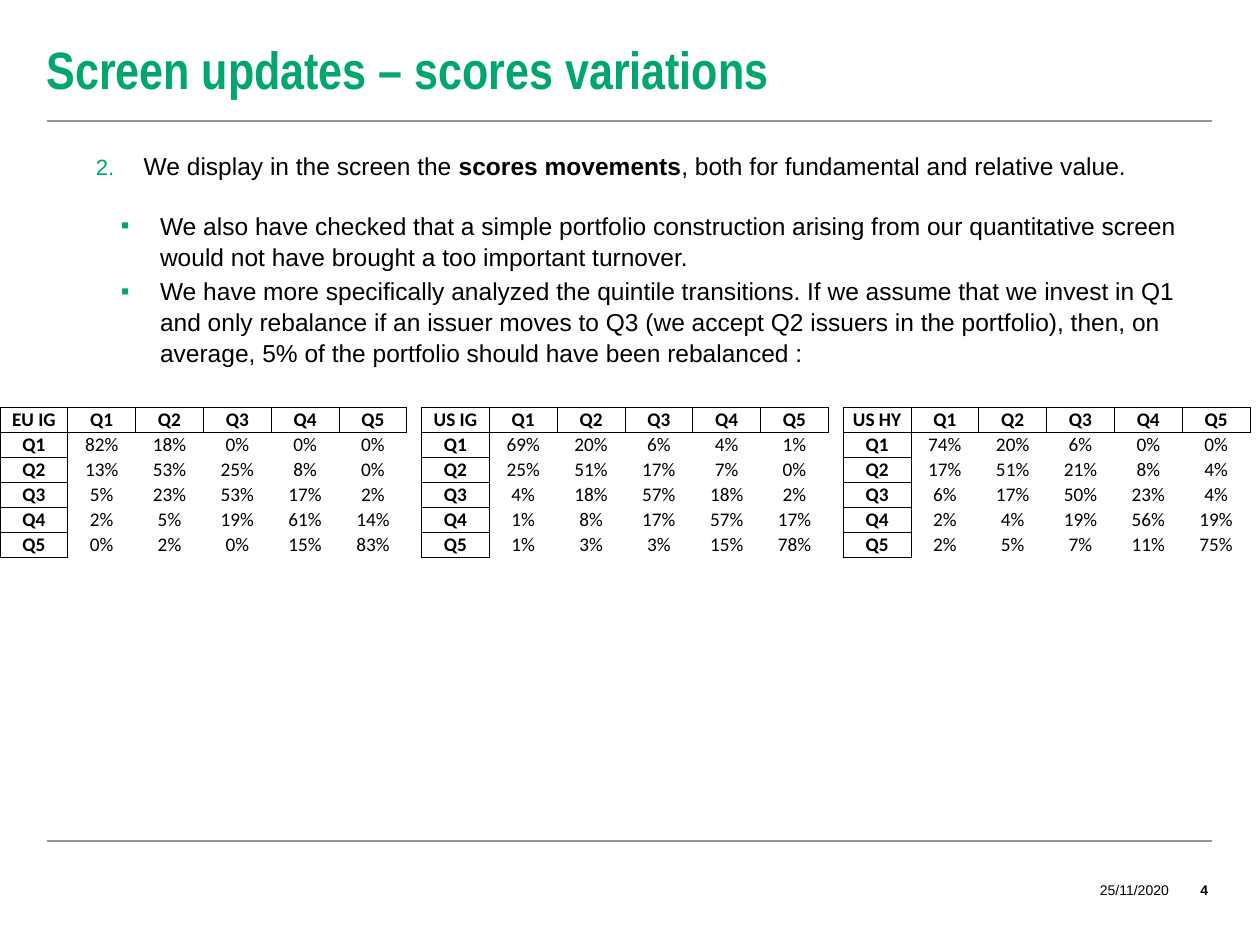
from lxml.etree import SubElement
from pptx import Presentation
from pptx.dml.color import RGBColor
from pptx.enum.shapes import MSO_CONNECTOR
from pptx.enum.text import MSO_ANCHOR, MSO_AUTO_SIZE, PP_ALIGN
from pptx.oxml.ns import qn
from pptx.util import Pt

GREEN, GREY, BLACK = "00A76C", "939598", "000000"
LEFT, WIDTH = 26.64, 666
QUINTILES = ["Q1", "Q2", "Q3", "Q4", "Q5"]
TABLE_TOP, TABLE_STEP, COL_W, ROW_H = 232.7, 240.9, 38.75, 14.3

TITLE_FONT = dict(name="Arial Narrow", size=Pt(30), bold=True)
BODY_FONT = dict(name="Arial", size=Pt(14), bold=False)
FOOTER_FONT = dict(name="Arial", size=Pt(8), bold=False)
CELL_FONT = dict(name="Calibri", size=Pt(11), bold=False)

NUMBERED = dict(margin=55.44, indent=-27.36, before=2, size=90,
                tag="a:buAutoNum", attrs=dict(type="arabicPeriod", startAt="2"))
SQUARE = dict(margin=64.8, indent=-22.32, before=2, size=100,
              tag="a:buChar", attrs=dict(char="▪"))

BODY = [
    (NUMBERED, [("We display in the screen the ", False), ("scores movements", True),
                (", both for fundamental and relative value.", False)]),
    (dict(SQUARE, before=16.3),
     [("We also have checked that a simple portfolio construction arising from our "
       "quantitative screen would not have brought a too important turnover.", False)]),
    (SQUARE,
     [("We have more specifically analyzed the quintile transitions. If we assume that "
       "we invest in Q1 and only rebalance if an issuer moves to Q3 (we accept Q2 issuers "
       "in the portfolio), then, on average, 5% of the portfolio should have been "
       "rebalanced :", False)]),
]

TRANSITIONS = {
    "EU IG": [(82, 18, 0, 0, 0), (13, 53, 25, 8, 0), (5, 23, 53, 17, 2),
              (2, 5, 19, 61, 14), (0, 2, 0, 15, 83)],
    "US IG": [(69, 20, 6, 4, 1), (25, 51, 17, 7, 0), (4, 18, 57, 18, 2),
              (1, 8, 17, 57, 17), (1, 3, 3, 15, 78)],
    "US HY": [(74, 20, 6, 0, 0), (17, 51, 21, 8, 4), (6, 17, 50, 23, 4),
              (2, 4, 19, 56, 19), (2, 5, 7, 11, 75)],
}


def rgb(value):
    return RGBColor.from_string(value)


def set_all(obj, **values):
    for name, value in values.items():
        setattr(obj, name, value)


def add_run(p, text, font, color=BLACK):
    r = p.add_run()
    r.text = text
    set_all(r.font, **font)
    r.font.color.rgb = rgb(color)


def format_frame(tf, anchor):
    set_all(tf, margin_left=0, margin_right=0, margin_top=0, margin_bottom=0,
            word_wrap=True, auto_size=MSO_AUTO_SIZE.NONE, vertical_anchor=anchor)


def add_text_box(s, x, y, w, h, anchor=MSO_ANCHOR.MIDDLE):
    tf = s.shapes.add_textbox(Pt(x), Pt(y), Pt(w), Pt(h)).text_frame
    format_frame(tf, anchor)
    return tf


def add_rule(s, y):
    line = s.shapes.add_connector(MSO_CONNECTOR.STRAIGHT, Pt(LEFT), Pt(y),
                                  Pt(LEFT + WIDTH), Pt(y))
    line.line.color.rgb = rgb(GREY)
    line.line.width = Pt(1)
    SubElement(line._element.spPr, qn("a:effectLst"))


def add_title(s, text):
    sp = s.shapes.title
    set_all(sp, left=Pt(LEFT), top=Pt(9.4), width=Pt(WIDTH), height=Pt(59))
    format_frame(sp.text_frame, MSO_ANCHOR.MIDDLE)
    p = sp.text_frame.paragraphs[0]
    p.alignment = PP_ALIGN.LEFT
    add_run(p, text, TITLE_FONT, GREEN)


def set_bullet(p, style):
    pPr = p._p.get_or_add_pPr()
    pPr.set("marL", str(Pt(style["margin"])))
    pPr.set("indent", str(Pt(style["indent"])))
    color = SubElement(pPr, qn("a:buClr"))
    SubElement(color, qn("a:srgbClr"), val=GREEN)
    SubElement(pPr, qn("a:buSzPct"), val=str(style["size"] * 1000))
    SubElement(pPr, qn("a:buFont"), typeface="Arial")
    SubElement(pPr, qn(style["tag"]), **style["attrs"])


def add_body(s):
    tf = add_text_box(s, LEFT, 85.7, WIDTH, 373, MSO_ANCHOR.TOP)
    for i, (style, runs) in enumerate(BODY):
        p = tf.add_paragraph() if i else tf.paragraphs[0]
        set_all(p, line_spacing=1.05, space_before=Pt(style["before"]))
        set_bullet(p, style)
        for text, bold in runs:
            add_run(p, text, dict(BODY_FONT, bold=bold))


def set_borders(cell, sides):
    """Draw a thin black line on the given sides (of "LRTB") and none on the others."""
    tcPr = cell._tc.get_or_add_tcPr()
    for side in "LRTB":
        ln = SubElement(tcPr, qn(f"a:ln{side}"), w=str(Pt(0.5)))
        if side in sides:
            fill = SubElement(ln, qn("a:solidFill"))
            SubElement(fill, qn("a:srgbClr"), val=BLACK)
        else:
            SubElement(ln, qn("a:noFill"))


def fill_cell(cell, text, row, col):
    header = row == 0 or col == 0
    sides = "LRTB" if header else "L" * (col == 1) + "T" * (row == 1)
    set_borders(cell, sides)
    cell.fill.background()
    set_all(cell, margin_left=Pt(0.7), margin_right=Pt(0.7), margin_top=Pt(0.7),
            margin_bottom=0,
            vertical_anchor=MSO_ANCHOR.TOP if header else MSO_ANCHOR.BOTTOM)
    p = cell.text_frame.paragraphs[0]
    p.alignment = PP_ALIGN.CENTER
    add_run(p, text, dict(CELL_FONT, bold=header))


def add_transition_table(s, x, name, shares):
    rows = [[name] + QUINTILES]
    rows += [[q] + [f"{v}%" for v in values] for q, values in zip(QUINTILES, shares)]
    n = len(rows)
    table = s.shapes.add_table(n, n, Pt(x), Pt(TABLE_TOP), Pt(COL_W * n),
                               Pt(ROW_H * n)).table
    set_all(table, first_row=False, horz_banding=False)
    for i, texts in enumerate(rows):
        table.rows[i].height = Pt(ROW_H)
        table.columns[i].width = Pt(COL_W)
        for j, text in enumerate(texts):
            fill_cell(table.cell(i, j), text, i, j)


def add_footer(s, x, w, text, align, bold=False):
    p = add_text_box(s, x, 501.1, w, 14.4).paragraphs[0]
    p.alignment = align
    add_run(p, text, dict(FOOTER_FONT, bold=bold))


def main():
    prs = Presentation()
    set_all(prs, slide_width=Pt(720), slide_height=Pt(540))
    s = prs.slides.add_slide(prs.slide_layouts[5])
    for y in (480.4, 69.2):
        add_rule(s, y)
    add_body(s)
    add_title(s, "Screen updates – scores variations")
    add_footer(s, 620.6, 55.4, "25/11/2020", PP_ALIGN.CENTER)
    add_footer(s, 676, 14.4, "4", PP_ALIGN.RIGHT, bold=True)
    for i, (name, shares) in enumerate(TRANSITIONS.items()):
        add_transition_table(s, i * TABLE_STEP, name, shares)
    prs.save("out.pptx")


if __name__ == "__main__":
    main()
